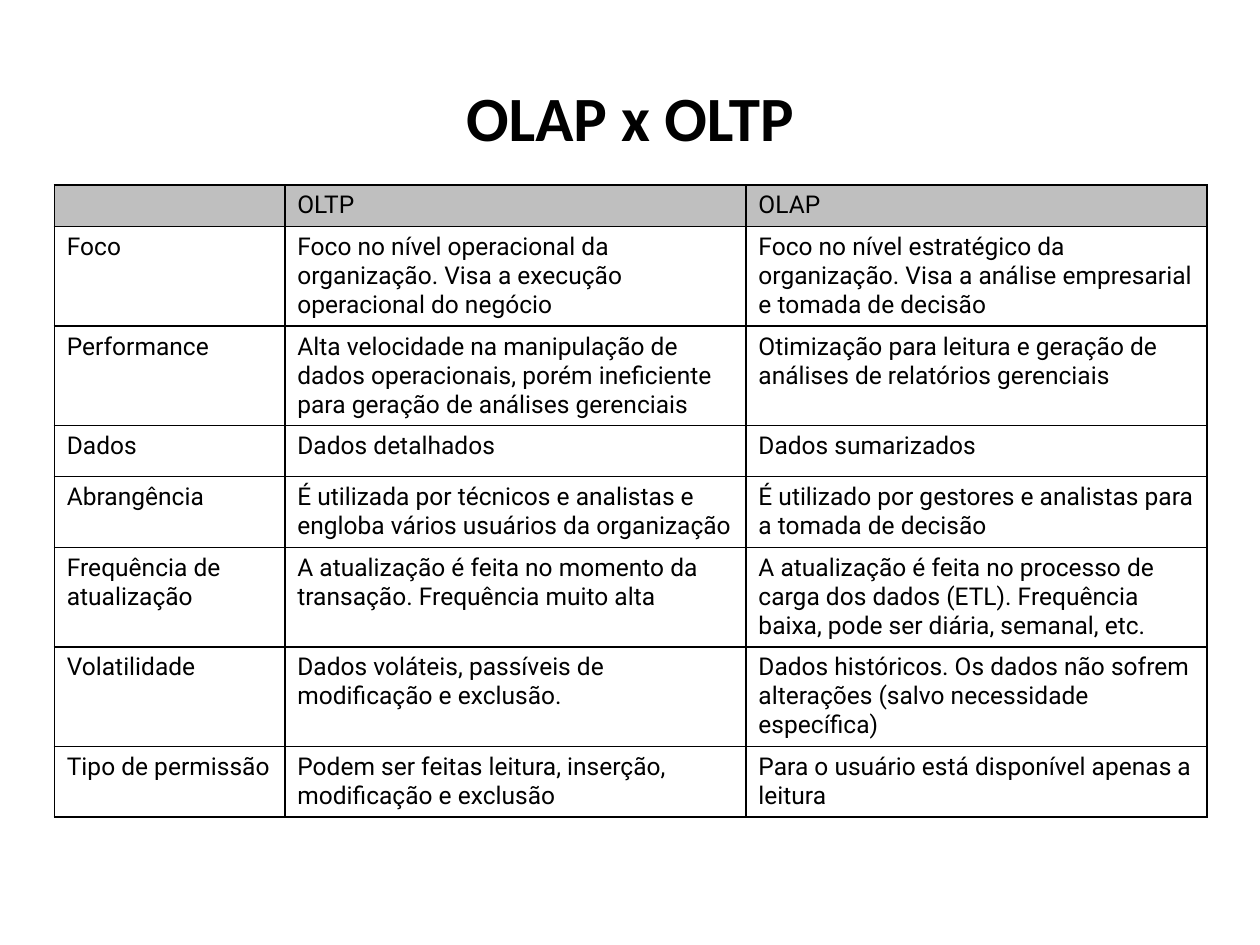
from lxml import etree
from pptx import Presentation
from pptx.dml.color import RGBColor
from pptx.enum.text import MSO_ANCHOR, PP_ALIGN
from pptx.oxml.ns import qn
from pptx.util import Pt

CENTER = PP_ALIGN.CENTER
MIDDLE = MSO_ANCHOR.MIDDLE

TITLE = "OLAP x OLTP"
ROWS = [
    ("", "OLTP", "OLAP"),
    ("Foco",
     "Foco no nível operacional da organização. Visa a execução operacional do negócio",
     "Foco no nível estratégico da organização. Visa a análise empresarial e tomada de decisão"),
    ("Performance",
     "Alta velocidade na manipulação de dados operacionais, porém ineficiente para geração de análises gerenciais",
     "Otimização para leitura e geração de análises de relatórios gerenciais"),
    ("Dados", "Dados detalhados", "Dados sumarizados"),
    ("Abrangência",
     "É utilizada por técnicos e analistas e engloba vários usuários da organização",
     "É utilizado por gestores e analistas para a tomada de decisão"),
    ("Frequência de atualização",
     "A atualização é feita no momento da transação. Frequência muito alta",
     "A atualização é feita no processo de carga dos dados (ETL). Frequência baixa, pode ser diária, semanal, etc."),
    ("Volatilidade",
     "Dados voláteis, passíveis de modificação e exclusão.",
     "Dados históricos. Os dados não sofrem alterações (salvo necessidade específica)"),
    ("Tipo de permissão",
     "Podem ser feitas leitura, inserção, modificação e exclusão",
     "Para o usuário está disponível apenas a leitura"),
]

THEME = {
    "title": {"name": "Calibri", "size": Pt(36), "bold": True},
    "body": {"name": "Roboto", "size": Pt(14), "bold": False},
    "ink": "000000",
    "header": "BFBFBF",
    "border": Pt(1),
}
SLIDE_SIZE = (720, 540)
TITLE_BOX = {"left": 36, "top": 21.6, "width": 648, "height": 90}
TABLE_LEFT, TABLE_TOP = 31, 105.6
LABEL_WIDTH = 131.75
COLUMN_WIDTHS = (LABEL_WIDTH, 2 * LABEL_WIDTH, 2 * LABEL_WIDTH)
HEADER_HEIGHT, ROW_HEIGHT = 18, 29.25


def format_font(font, style):
    for name, value in THEME[style].items():
        setattr(font, name, value)
    font.color.rgb = RGBColor.from_string(THEME["ink"])


def add_borders(cell):
    properties = cell._tc.get_or_add_tcPr()
    for side in ("lnL", "lnR", "lnT", "lnB"):
        line = etree.SubElement(properties, qn(f"a:{side}"), w=str(THEME["border"]))
        fill = etree.SubElement(line, qn("a:solidFill"))
        etree.SubElement(fill, qn("a:srgbClr"), val=THEME["ink"])


def fill_cell(cell, text, is_header):
    add_borders(cell)
    if is_header:
        cell.fill.solid()
        cell.fill.fore_color.rgb = RGBColor.from_string(THEME["header"])
    else:
        cell.fill.background()
    paragraph = cell.text_frame.paragraphs[0]
    if text:
        run = paragraph.add_run()
        run.text = text
        format_font(run.font, "body")
    else:
        size = str(int(THEME["body"]["size"].pt * 100))
        end = etree.SubElement(paragraph._p, qn("a:endParaRPr"), sz=size)
        etree.SubElement(end, qn("a:latin"), typeface=THEME["body"]["name"])


def add_title(slide):
    title = slide.shapes.title
    for name, value in TITLE_BOX.items():
        setattr(title, name, Pt(value))
    title.text_frame.vertical_anchor = MIDDLE
    paragraph = title.text_frame.paragraphs[0]
    paragraph.alignment = CENTER
    run = paragraph.add_run()
    run.text = TITLE
    format_font(run.font, "title")


def add_comparison(slide):
    heights = [HEADER_HEIGHT] + [ROW_HEIGHT] * (len(ROWS) - 1)
    table = slide.shapes.add_table(
        len(ROWS), len(COLUMN_WIDTHS), Pt(TABLE_LEFT), Pt(TABLE_TOP),
        Pt(sum(COLUMN_WIDTHS)), Pt(sum(heights))).table
    table.horz_banding = False
    table.first_row = False
    for column, width in zip(table.columns, COLUMN_WIDTHS):
        column.width = Pt(width)
    for index, (row, height) in enumerate(zip(table.rows, heights)):
        row.height = Pt(height)
        for cell, text in zip(row.cells, ROWS[index]):
            fill_cell(cell, text, index == 0)


def main():
    presentation = Presentation()
    presentation.slide_width, presentation.slide_height = map(Pt, SLIDE_SIZE)
    slide = presentation.slides.add_slide(presentation.slide_layouts[5])
    add_title(slide)
    add_comparison(slide)
    presentation.save("out.pptx")


if __name__ == "__main__":
    main()
